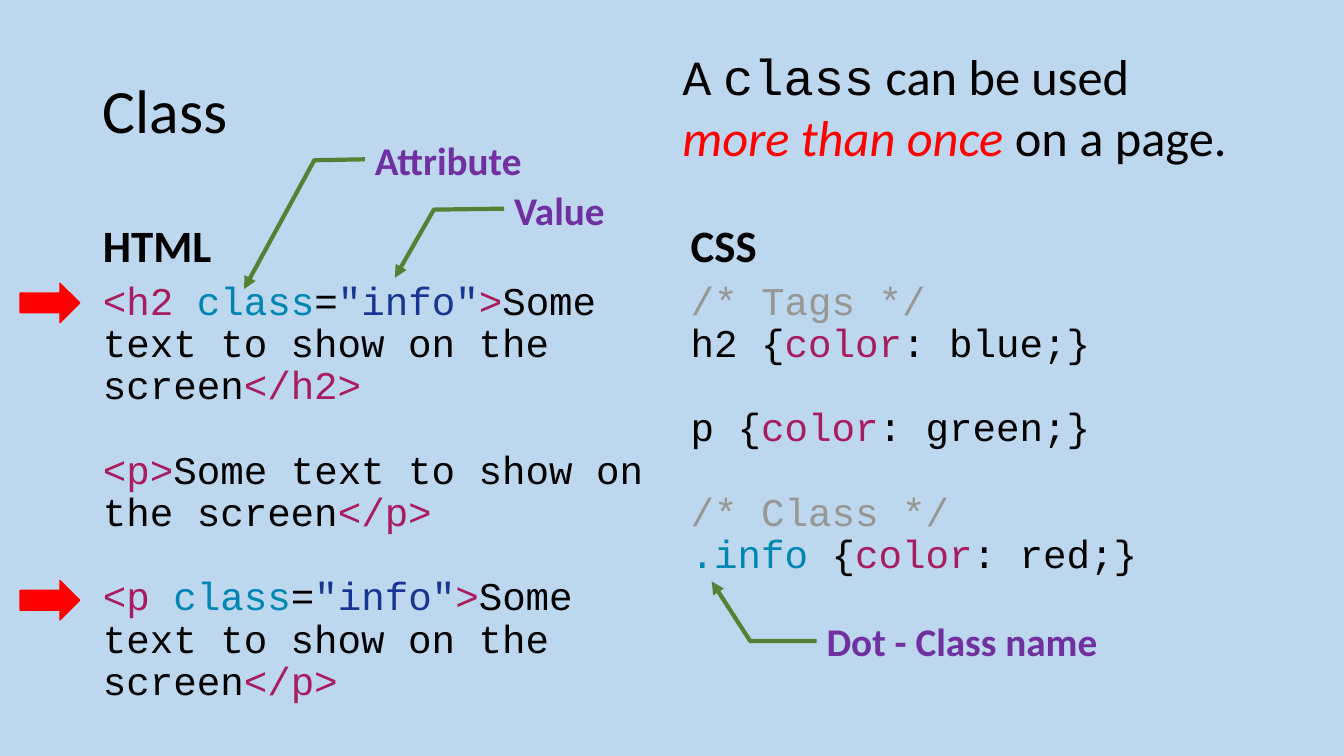
from pptx import Presentation
from pptx.dml.color import RGBColor
from pptx.enum.shapes import MSO_SHAPE as Shape
from pptx.enum.text import MSO_ANCHOR as Anchor, MSO_AUTO_SIZE as Fit, PP_ALIGN as Align
from pptx.oxml.ns import qn
from pptx.util import Inches, Pt
from lxml.etree import SubElement

SKY = RGBColor(0xBD, 0xD7, 0xEE)
BLACK = RGBColor(0, 0, 0)
RED = RGBColor(0xFF, 0, 0)
GREEN = RGBColor(0x54, 0x82, 0x35)
PURPLE = RGBColor(0x70, 0x30, 0xA0)
TAG = RGBColor(0xA7, 0x1D, 0x5D)
NAME = RGBColor(0x00, 0x86, 0xB3)
TEXT = RGBColor(0x18, 0x36, 0x91)
GREY = RGBColor(0x96, 0x98, 0x96)
SANS, MONO = "Calibri", "Courier New"

WIDE, HIGH = 13.33, 7.5
LEFT, RIGHT = 0.92, 6.75          # column edges
COL = 5.65                        # column width
TOP, HEAD, CODE = 0.4, 1.84, 2.74  # row edges
GAP = 30                          # points between blocks of code

CLASS = [("class", NAME), ("=", BLACK), ('"info"', TEXT), (">", TAG)]
WORDS = ("Some text to show on the screen", BLACK)
KEY = ("color", TAG)

# Each line of code: its coloured parts, and whether it starts a new block
HTML = [
    ([("<h2 ", TAG), *CLASS, WORDS, ("</h2>", TAG)], False),
    ([("<p>", TAG), WORDS, ("</p>", TAG)], True),
    ([("<p ", TAG), *CLASS, WORDS, ("</p>", TAG)], True),
]
CSS = [
    ([("/* Tags */", GREY)], False),
    ([("h2 {", BLACK), KEY, (": blue;}", BLACK)], False),
    ([("p {", BLACK), KEY, (": green;}", BLACK)], True),
    ([("/* Class */", GREY)], True),
    ([(".info", NAME), (" {", BLACK), KEY, (": red;}", BLACK)], False),
]

# Label, its box, and the pointer's three points as (y, x) shares of the box
NOTES = [
    ("Attribute", (3.62, 1.12, 3.87, 0.94), (0.49, 0, 0.5, -0.13, 1.86, -0.31)),
    ("Value", (5, 1.61, 3.87, 0.94), (0.49, 0, 0.5, -0.18, 1.22, -0.28)),
    ("Dot - Class name", (8.1, 5.89, 3.47, 0.94), (0.5, 0, 0.5, -0.19, -0.13, -0.3)),
]


def place(item, box):
    item.left, item.top, item.width, item.height = map(Inches, box)


def style(run, size, color=BLACK, font=SANS, bold=False, slant=False):
    face = run.font
    face.size, face.name, face.bold, face.italic = Pt(size), font, bold, slant
    face.color.rgb = color


def setup(frame, anchor):
    frame.word_wrap = True
    frame.auto_size = Fit.NONE
    frame.vertical_anchor = anchor


def flush(para, space, before=0):
    """Left-align a paragraph without bullet or indent."""
    para.alignment = Align.LEFT
    para.line_spacing = space
    para.space_before, para.space_after = Pt(before), Pt(0)
    props = para._p.get_or_add_pPr()
    props.set("marL", "0")
    props.set("indent", "0")
    SubElement(props, qn("a:buNone"))


def heading(hold, box, text, size, anchor, space, bold):
    place(hold, box)
    frame = hold.text_frame
    setup(frame, anchor)
    frame.text = text
    para = frame.paragraphs[0]
    flush(para, space)
    style(para.runs[0], size, bold=bold)


def listing(hold, box, lines):
    place(hold, box)
    frame = hold.text_frame
    setup(frame, Anchor.TOP)
    for i, (parts, fresh) in enumerate(lines):
        para = frame.add_paragraph() if i else frame.paragraphs[0]
        flush(para, 0.9, GAP if fresh else 0)
        for text, color in parts:
            run = para.add_run()
            run.text = text
            style(run, 28, color, MONO)


def column(head, body, left, title, lines):
    heading(head, (left, HEAD, COL, CODE - HEAD), title, 32, Anchor.BOTTOM, 1.2, True)
    listing(body, (left, CODE, COL, 4.03), lines)


def claim(slide, box):
    frame = slide.shapes.add_textbox(*map(Inches, box)).text_frame
    setup(frame, Anchor.TOP)
    for text, color, font, slant in [
        ("A ", BLACK, SANS, False),
        ("class", BLACK, MONO, False),
        (" can be used ", BLACK, SANS, False),
        ("more than once", RED, SANS, True),
        (" on a page.", BLACK, SANS, False),
    ]:
        run = frame.paragraphs[0].add_run()
        run.text = text
        style(run, 36, color, font, slant=slant)


def note(slide, text, box, points):
    mark = slide.shapes.add_shape(Shape.LINE_CALLOUT_2_NO_BORDER, *map(Inches, box))
    mark.shadow.inherit = False
    mark.fill.background()
    mark.line.color.rgb, mark.line.width = GREEN, Pt(3)
    SubElement(mark.line._get_or_add_ln(), qn("a:tailEnd"), type="triangle")
    for i, share in enumerate(points):
        mark.adjustments[i] = share
    frame = mark.text_frame
    setup(frame, Anchor.MIDDLE)
    frame.text = text
    frame.paragraphs[0].alignment = Align.LEFT
    style(frame.paragraphs[0].runs[0], 28, PURPLE, bold=True)


def arrow(slide, box):
    mark = slide.shapes.add_shape(Shape.RIGHT_ARROW, *map(Inches, box))
    mark.shadow.inherit = False
    mark.fill.solid()
    mark.fill.fore_color.rgb = RED
    mark.line.color.rgb, mark.line.width = RED, Pt(1)


def main():
    deck = Presentation()
    deck.slide_width, deck.slide_height = Inches(WIDE), Inches(HIGH)
    slide = deck.slides.add_slide(deck.slide_layouts[4])
    slide.background.fill.solid()
    slide.background.fill.fore_color.rgb = SKY
    holds = {hold.placeholder_format.idx: hold for hold in slide.placeholders}

    # Title and the two columns
    heading(holds[0], (LEFT, TOP, 11.5, 1.45), "Class", 44, Anchor.MIDDLE, 0.9, False)
    column(holds[1], holds[2], LEFT, "HTML", HTML)
    column(holds[3], holds[4], RIGHT, "CSS", CSS)

    # Statement, labels and arrows
    claim(slide, (6.67, TOP, COL, 1.31))
    for text, box, points in NOTES:
        note(slide, text, box, points)
    for top in (5.76, 2.81):
        arrow(slide, (0.2, top, 0.59, 0.39))

    deck.save("out.pptx")


if __name__ == "__main__":
    main()
